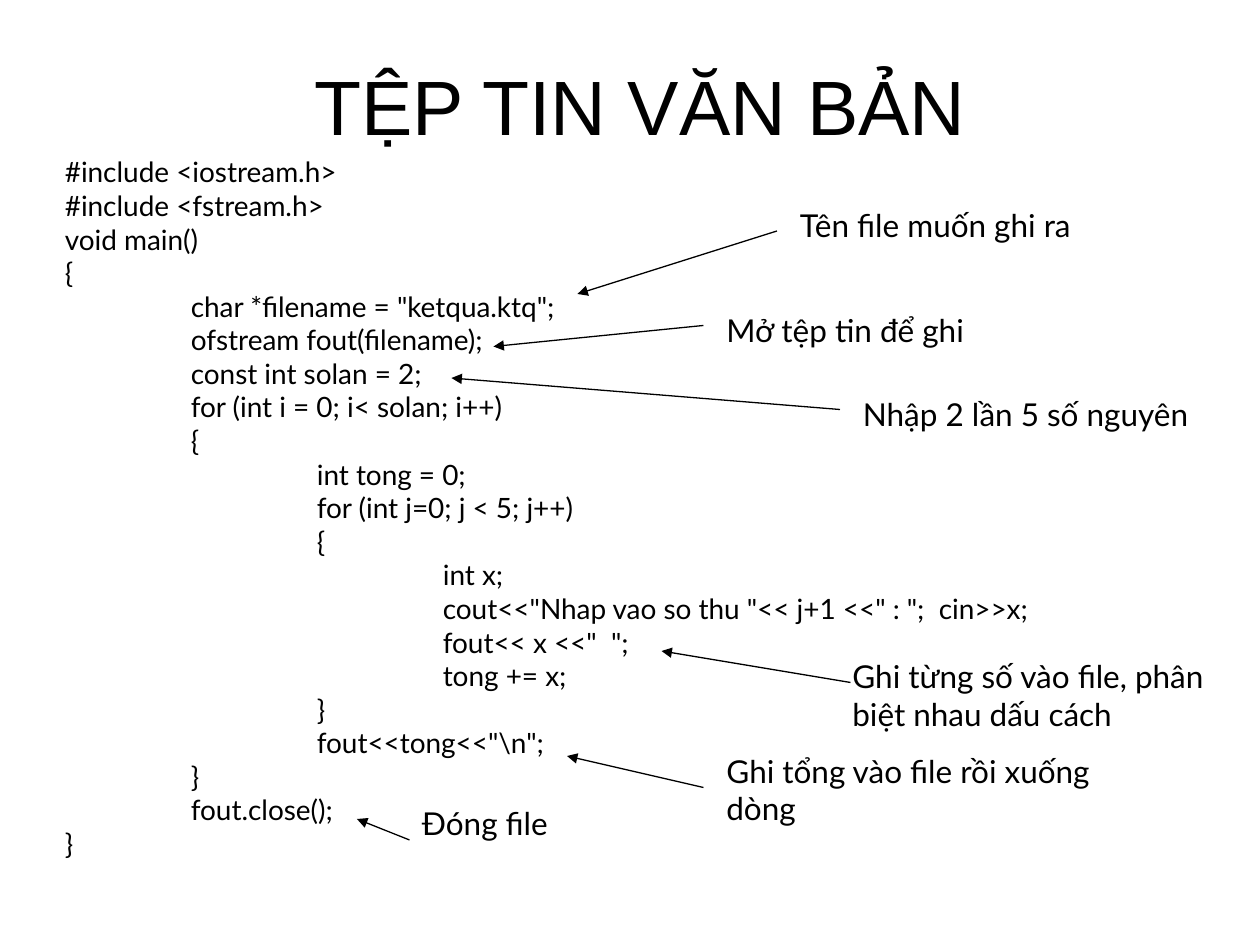
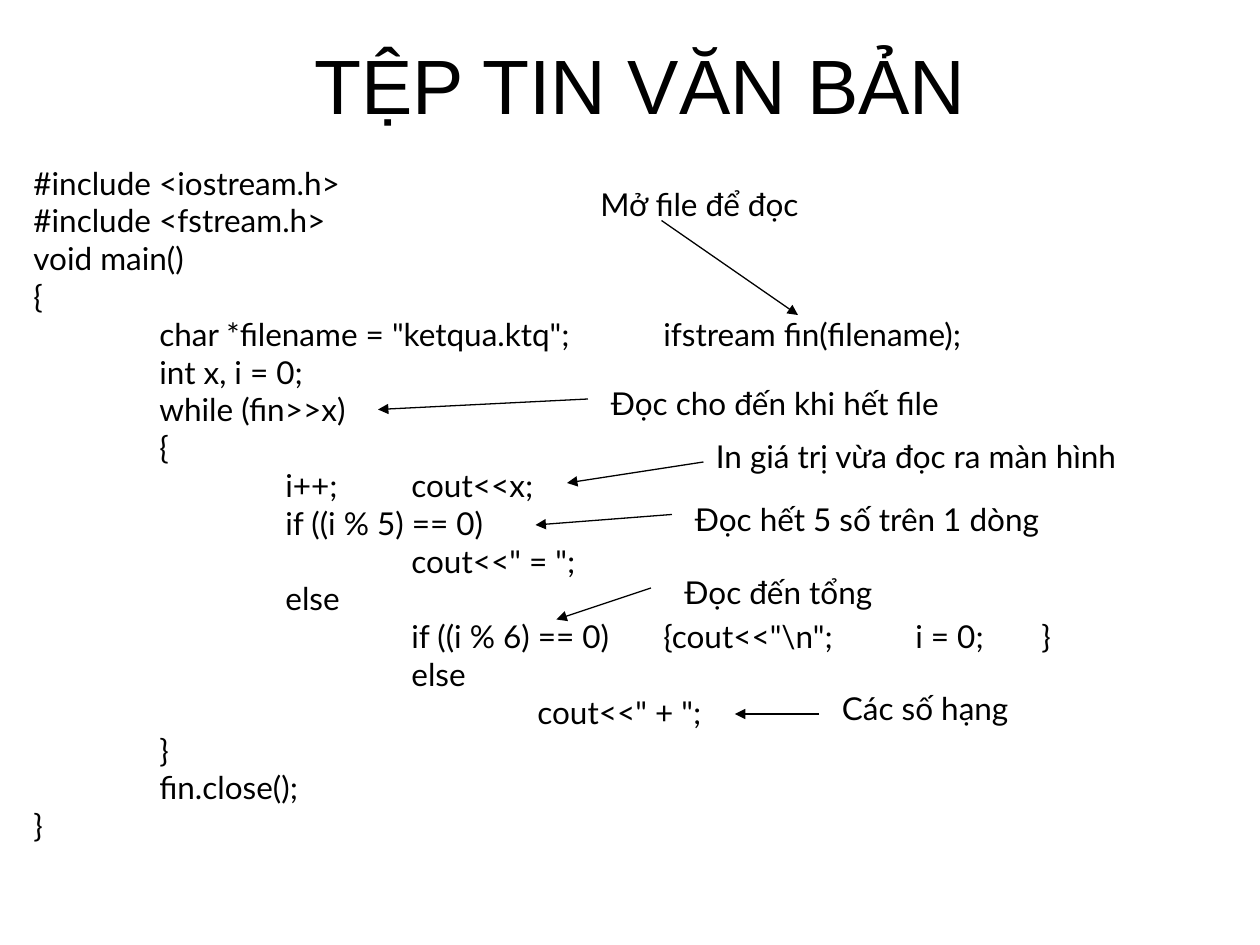
"""Build two slides that annotate C++ programs writing and reading a text file."""
import lxml.etree
import pptx
import pptx.dml.color
import pptx.enum.shapes
import pptx.enum.text
import pptx.oxml
import pptx.oxml.ns
import pptx.util

Pt = pptx.util.Pt
COLOURS = {"background": "FFFFFF", "ink": "000000"}
TITLE = "TỆP TIN VĂN BẢN"
TITLE_FONT = "Arial"
BODY_FONT = "Lato"
LABEL_SIZE = 18
LABEL_LINE_HEIGHT = 21.6
LABEL_PADDING = 7.2
TAB_WIDTH = 72

WRITE_CODE = [
    (0, "#include <iostream.h>"),
    (0, "#include <fstream.h>"),
    (0, "void main()"),
    (0, "{"),
    (1, 'char *filename = "ketqua.ktq";'),
    (1, "ofstream fout(filename);"),
    (1, "const int solan = 2;"),
    (1, "for (int i = 0; i< solan; i++)"),
    (1, "{"),
    (2, "int tong = 0;"),
    (2, "for (int j=0; j < 5; j++)"),
    (2, "{"),
    (3, "int x;"),
    (3, 'cout<<"Nhap vao so thu "<< j+1 <<" : ";  cin>>x;'),
    (3, 'fout<< x <<"  ";'),
    (3, "tong += x;"),
    (2, "}"),
    (2, r'fout<<tong<<"\n";'),
    (1, "}"),
    (1, "fout.close();"),
    (0, "}"),
]
READ_CODE = [
    (0, "#include <iostream.h>"),
    (0, "#include <fstream.h>"),
    (0, "void main()"),
    (0, "{"),
    (1, 'char *filename = "ketqua.ktq";\tifstream fin(filename);'),
    (1, "int x, i = 0;"),
    (1, "while (fin>>x)"),
    (1, "{"),
    (2, "i++;\tcout<<x;"),
    (2, "if ((i % 5) == 0)"),
    (3, 'cout<<" = ";'),
    (2, "else"),
    (3, 'if ((i % 6) == 0)\t{cout<<"\\n";\ti = 0;\t}'),
    (3, "else"),
    (4, 'cout<<" + ";'),
    (1, "}"),
    (1, "fin.close();"),
    (0, "}"),
]

WRITE_CALLOUTS = [
    ("Tên file muốn ghi ra", (450, 114, 186), 1, (444, 132), (330, 168)),
    ("Mở tệp tin để ghi", (408, 174, 216), 1, (402, 186), (282, 198)),
    ("Nhập 2 lần 5 số nguyên", (486, 222, 210), 2, (480, 234), (258, 216)),
    ("Ghi từng số vào file, phân biệt nhau dấu cách", (480, 372, 222), 3, (486, 390), (378, 372)),
    ("Ghi tổng vào file rồi xuống dòng", (408, 426, 264), 2, (402, 450), (324, 432)),
    ("Đóng file", (234, 456, 132), 1, (234, 480), (204, 468)),
]
READ_CALLOUTS = [
    ("Mở file để đọc", (336, 102, 162), 1, (378, 126), (456, 180)),
    ("Đọc cho đến khi hết file", (342, 216, 222), 1, (336, 228), (216, 234)),
    ("In giá trị vừa đọc ra màn hình", (402, 246, 270), 1, (402, 264), (324, 276)),
    ("Đọc hết 5 số trên 1 dòng", (390, 282, 246), 1, (384, 294), (306, 300)),
    ("Đọc đến tổng", (384, 324, 192), 1, (372, 336), (318, 354)),
    ("Các số hạng", (474, 390, 156), 1, (468, 408), (420, 408)),
]


def colour(name):
    return pptx.dml.color.RGBColor.from_string(COLOURS[name])


def format_runs(paragraph, font_name, size):
    for run in paragraph.runs:
        run.font.name = font_name
        run.font.size = Pt(size)
        run.font.color.rgb = colour("ink")


def add_title(slide, top):
    title = slide.shapes.title
    title.left, title.top, title.width, title.height = Pt(60), Pt(top), Pt(612), Pt(60)
    text_frame = title.text_frame
    text_frame.text = TITLE
    text_frame.auto_size = pptx.enum.text.MSO_AUTO_SIZE.NONE
    text_frame.vertical_anchor = pptx.enum.text.MSO_ANCHOR.MIDDLE
    paragraph = text_frame.paragraphs[0]
    paragraph.alignment = pptx.enum.text.PP_ALIGN.CENTER
    format_runs(paragraph, TITLE_FONT, 44)


def add_text(slide, text, left, top, width, height, size):
    text_frame = slide.shapes.add_textbox(Pt(left), Pt(top), Pt(width), Pt(height)).text_frame
    text_frame.word_wrap = True
    text_frame.text = text
    for paragraph in text_frame.paragraphs:
        format_runs(paragraph, BODY_FONT, size)
    return text_frame


def add_tab_stops(paragraph):
    properties = paragraph._p.get_or_add_pPr()
    tab_list = lxml.etree.SubElement(properties, pptx.oxml.ns.qn("a:tabLst"))
    for column in range(1, 8):
        tab = lxml.etree.SubElement(tab_list, pptx.oxml.ns.qn("a:tab"))
        tab.set("pos", str(Pt(column * TAB_WIDTH)))
        tab.set("algn", "l")


def add_code(slide, code_lines, left, top, width, height, size):
    text = "\n".join("\t" * depth + line for depth, line in code_lines)
    text_frame = add_text(slide, text, left, top, width, height, size)
    for paragraph in text_frame.paragraphs:
        add_tab_stops(paragraph)


def add_arrow(slide, start, end):
    arrow = slide.shapes.add_connector(
        pptx.enum.shapes.MSO_CONNECTOR.STRAIGHT, *(Pt(value) for value in start + end))
    arrow.line.color.rgb = colour("ink")
    arrow.line.width = Pt(0.75)
    head = lxml.etree.SubElement(arrow.line._get_or_add_ln(), pptx.oxml.ns.qn("a:tailEnd"))
    head.set("type", "triangle")
    lxml.etree.SubElement(arrow._element.spPr, pptx.oxml.ns.qn("a:effectLst"))


def add_callout(slide, text, place, line_count, start, end):
    height = LABEL_PADDING + LABEL_LINE_HEIGHT * line_count
    add_text(slide, text, *place, height, LABEL_SIZE)
    add_arrow(slide, start, end)


def add_code_slide(presentation, title_top, code_lines, code_box, code_size, callouts):
    slide = presentation.slides.add_slide(presentation.slide_layouts[5])
    slide.background.fill.solid()
    slide.background.fill.fore_color.rgb = colour("background")
    add_title(slide, title_top)
    add_code(slide, code_lines, *code_box, code_size)
    for callout in callouts:
        add_callout(slide, *callout)


def main():
    presentation = pptx.Presentation()
    presentation.slide_width = Pt(720)
    presentation.slide_height = Pt(540)
    add_code_slide(presentation, 30, WRITE_CODE, (30, 85, 690, 410), 16, WRITE_CALLOUTS)
    add_code_slide(presentation, 18, READ_CODE, (12, 90, 666, 429), 18, READ_CALLOUTS)
    presentation.save("out.pptx")


if __name__ == "__main__":
    main()
